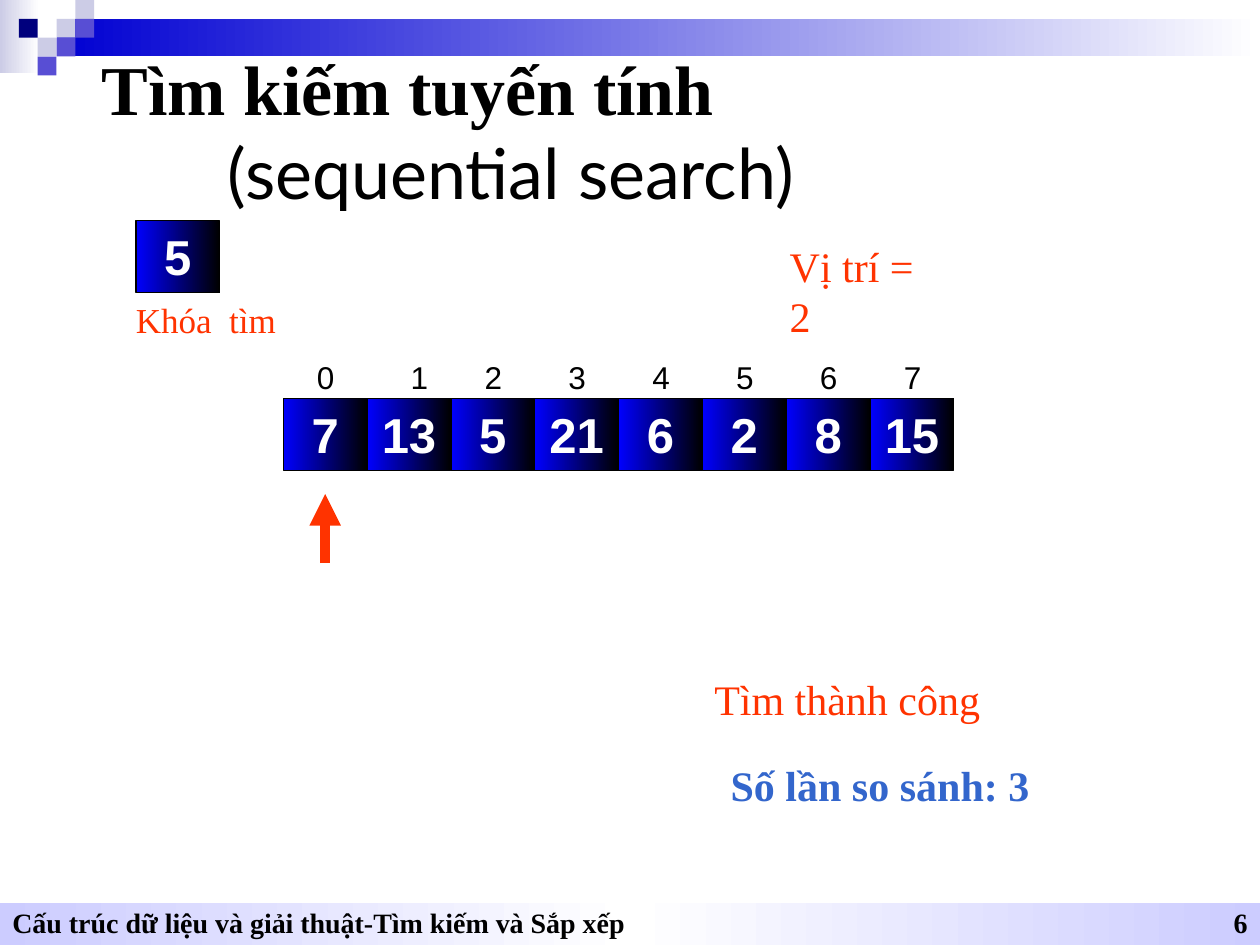
from dataclasses import dataclass

from lxml.etree import SubElement
from pptx import Presentation
from pptx.dml.color import RGBColor
from pptx.enum.shapes import MSO_CONNECTOR, MSO_SHAPE
from pptx.enum.text import MSO_ANCHOR, MSO_AUTO_SIZE, PP_ALIGN
from pptx.oxml.ns import qn
from pptx.util import Cm, Pt


@dataclass(frozen=True)
class Theme:
    serif: str = "Times New Roman"
    sans: str = "Arial"
    subtitle_font: str = "Lato"
    ink: str = "000000"
    white: str = "FFFFFF"
    accent: str = "FF3300"
    count: str = "3366CC"
    pale: str = "CCCCE6"
    violet: str = "584ED4"
    navy: str = "00007D"
    cell: tuple[str, ...] = ("0000FF", "000000")
    corner: tuple[str, ...] = ("CCCCE6", "FFFFFF")
    banner: tuple[str, ...] = ("0000D2", "FFFFFF")
    footer: tuple[str, ...] = ("CCCCFF", "FFFFFF", "CCCCFF")
    title_size: int = 40
    cell_size: int = 28
    result_size: int = 24
    key_size: int = 20
    index_size: int = 18
    footer_size: int = 16


THEME = Theme()


@dataclass(frozen=True)
class Box:
    """Position and size in centimetres."""
    left: float
    top: float
    width: float
    height: float

    def lengths(self) -> tuple[Cm, ...]:
        return Cm(self.left), Cm(self.top), Cm(self.width), Cm(self.height)


@dataclass(frozen=True)
class Label:
    text: str
    box: Box
    size: int
    color: str = THEME.ink
    font: str = THEME.serif
    bold: bool = False
    align: PP_ALIGN = PP_ALIGN.LEFT
    anchor: MSO_ANCHOR = MSO_ANCHOR.TOP
    wrap: bool = False
    grow: bool = True


def style_run(run, font: str, size: int, color: str, bold: bool) -> None:
    run.font.name = font
    run.font.size = Pt(size)
    run.font.bold = bold
    run.font.color.rgb = RGBColor.from_string(color)


def draw_rect(shapes, box: Box, colors: tuple[str, ...]):
    """One colour gives a solid fill, more give a left-to-right gradient."""
    rect = shapes.add_shape(MSO_SHAPE.RECTANGLE, *box.lengths())
    rect.shadow.inherit = False
    rect.line.fill.background()
    if len(colors) == 1:
        rect.fill.solid()
        rect.fill.fore_color.rgb = RGBColor.from_string(colors[0])
        return rect
    rect.fill.gradient()
    rect.fill.gradient_angle = 0
    stops = rect._element.spPr.find(qn("a:gradFill")).find(qn("a:gsLst"))
    for old_stop in list(stops):
        stops.remove(old_stop)
    for i, color in enumerate(colors):
        stop = SubElement(stops, qn("a:gs"), pos=str(100000 * i // (len(colors) - 1)))
        SubElement(stop, qn("a:srgbClr"), val=color)
    return rect


def draw_cell(shapes, number: int, left: float, top: float) -> None:
    cell = draw_rect(shapes, Box(left, top, CELL_WIDTH, CELL_HEIGHT), THEME.cell)
    cell.line.color.rgb = RGBColor.from_string(THEME.ink)
    cell.line.width = Pt(0.75)
    frame = cell.text_frame
    frame.text = str(number)
    frame.vertical_anchor = MSO_ANCHOR.TOP
    frame.paragraphs[0].alignment = PP_ALIGN.CENTER
    style_run(frame.paragraphs[0].runs[0], THEME.sans, THEME.cell_size, THEME.white, True)


def draw_label(shapes, label: Label):
    frame = shapes.add_textbox(*label.box.lengths()).text_frame
    frame.word_wrap = label.wrap
    frame.auto_size = MSO_AUTO_SIZE.SHAPE_TO_FIT_TEXT if label.grow else MSO_AUTO_SIZE.NONE
    frame.vertical_anchor = label.anchor
    paragraph = frame.paragraphs[0]
    paragraph.text = label.text
    paragraph.alignment = label.align
    for run in paragraph.runs:
        style_run(run, label.font, label.size, label.color, label.bold)
    return paragraph


def draw_arrow(shapes, x: float, start: float, end: float) -> None:
    arrow = shapes.add_connector(MSO_CONNECTOR.STRAIGHT, Cm(x), Cm(start), Cm(x), Cm(end))
    arrow.line.color.rgb = RGBColor.from_string(THEME.accent)
    arrow.line.width = Pt(6)
    SubElement(arrow.line._get_or_add_ln(), qn("a:tailEnd"), type="triangle")
    SubElement(arrow._element.spPr, qn("a:effectLst"))


CELL_WIDTH, CELL_HEIGHT = 1.69, 1.45
ARRAY_LEFT, ARRAY_TOP = 5.71, 8.03
NUMBERS = (7, 13, 5, 21, 6, 2, 8, 15)
INDEX_NUDGE = {1: 0.2}  # index 1 sits slightly right of its column
TILE = 0.38
TILES = (  # column, row, colour
    (3, 1, THEME.pale), (4, 0, THEME.pale), (4, 1, THEME.violet), (2, 2, THEME.pale),
    (1, 1, THEME.navy), (3, 2, THEME.violet), (2, 3, THEME.violet),
)
FOOTER_TOP, FOOTER_HEIGHT = 18.21, 0.84


def main() -> None:
    presentation = Presentation()
    presentation.slide_width, presentation.slide_height = Cm(25.4), Cm(19.05)
    shapes = presentation.slides.add_slide(presentation.slide_layouts[6]).shapes

    # Bands and corner tiles
    draw_rect(shapes, Box(0, FOOTER_TOP, 25.4, FOOTER_HEIGHT), THEME.footer)
    draw_rect(shapes, Box(0, 0, 0.79, 1.47), THEME.corner)
    draw_rect(shapes, Box(1.14, 0.38, 24.26, 0.75), THEME.banner)
    for column, row, color in TILES:
        draw_rect(shapes, Box(column * TILE, row * TILE, TILE, TILE), (color,))

    # Footer
    for text, left, width, align in (
        ("Cấu trúc dữ liệu và giải thuật-Tìm kiếm và Sắp xếp", 0, 17.98, PP_ALIGN.LEFT),
        ("6", 19.48, 5.92, PP_ALIGN.RIGHT),
    ):
        draw_label(shapes, Label(text, Box(left, FOOTER_TOP, width, FOOTER_HEIGHT),
                                 THEME.footer_size, bold=True, align=align,
                                 anchor=MSO_ANCHOR.BOTTOM, wrap=True, grow=False))

    # Title with its second line indented by a tab
    title = draw_label(shapes, Label("Tìm kiếm tuyến tính\v\t(sequential search)",
                                     Box(1.8, 1.27, 23.6, 2.69), THEME.title_size, bold=True,
                                     anchor=MSO_ANCHOR.MIDDLE, wrap=True, grow=False))
    style_run(title.runs[-1], THEME.subtitle_font, THEME.title_size, THEME.ink, False)
    tabs = SubElement(title._p.get_or_add_pPr(), qn("a:tabLst"))
    SubElement(tabs, qn("a:tab"), pos=str(Cm(2.54)), algn="l")

    # Search key
    draw_cell(shapes, 5, 2.74, 4.45)
    draw_label(shapes, Label("Khóa  tìm", Box(2.49, 5.89, 3.51, 1.12),
                             THEME.key_size, THEME.accent))

    # Array, its indices and the current position
    draw_arrow(shapes, ARRAY_LEFT + CELL_WIDTH / 2, 11.35, 9.96)
    index_group = shapes.add_group_shape()
    for i, number in enumerate(NUMBERS):
        left = ARRAY_LEFT + i * CELL_WIDTH
        draw_cell(shapes, number, left, ARRAY_TOP)
        index_left = left + 0.43 + INDEX_NUDGE.get(i, 0)
        draw_label(index_group.shapes, Label(str(i), Box(index_left, 7.09, 0.86, 1.02),
                                             THEME.index_size, font=THEME.sans))

    # Results
    draw_label(shapes, Label("Vị trí = 2", Box(15.67, 4.72, 3.63, 1.27),
                             THEME.result_size, THEME.accent))
    draw_label(shapes, Label("Tìm thành công", Box(14.15, 13.46, 5.87, 1.27),
                             THEME.result_size, THEME.accent))
    draw_label(shapes, Label("Số lần so sánh: 3", Box(14.48, 15.19, 6.99, 1.27),
                             THEME.result_size, THEME.count, bold=True, wrap=True))

    presentation.save("out.pptx")


if __name__ == "__main__":
    main()
